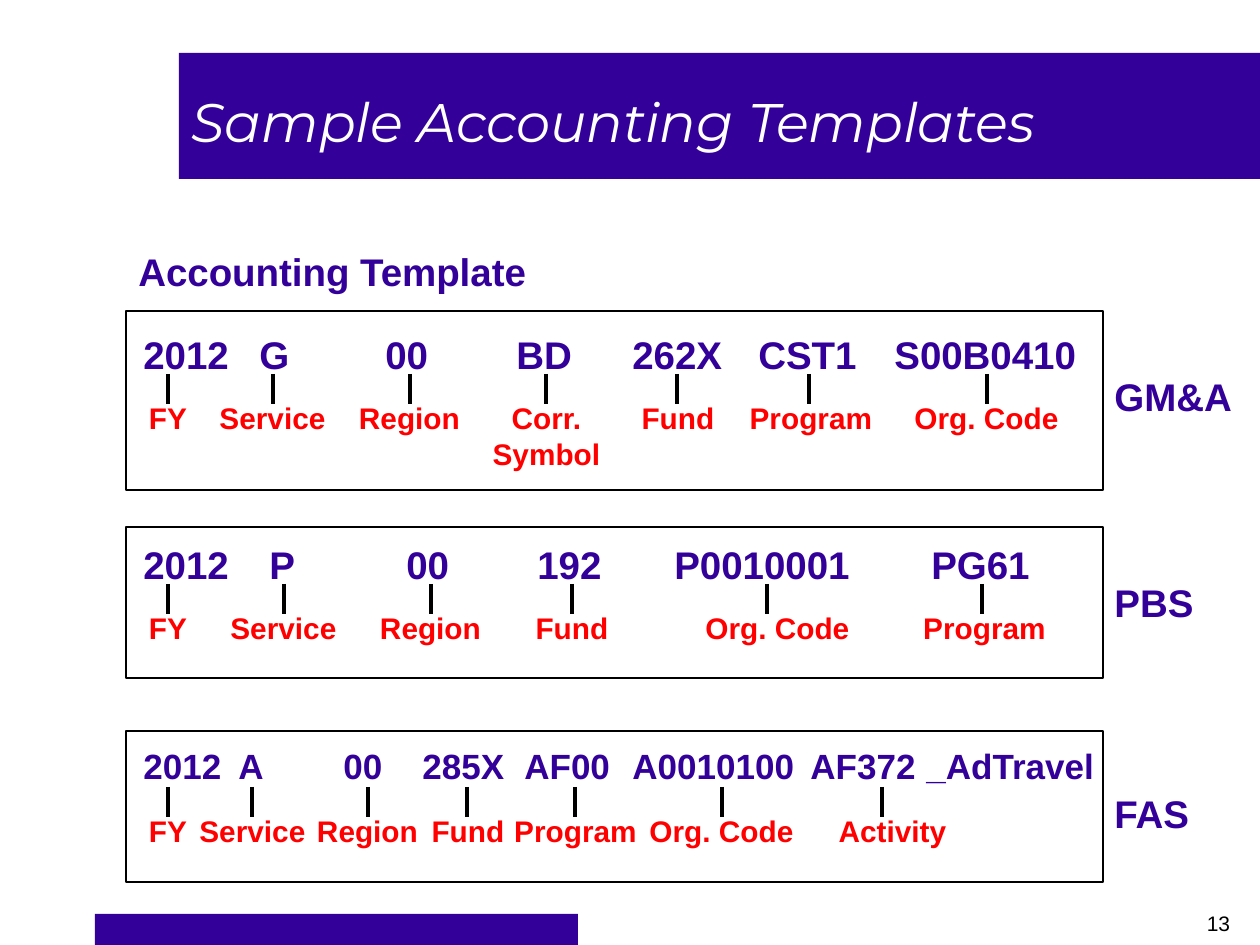
import pptx
import pptx.dml.color
import pptx.enum.shapes
import pptx.enum.text
import pptx.oxml.ns
import pptx.util
import lxml.etree

PX_PER_INCH = 126
COLOURS = {"purple": "330099", "red": "FF0000", "black": "000000", "white": "FFFFFF"}
ALIGN = pptx.enum.text.PP_ALIGN
RECTANGLE = pptx.enum.shapes.MSO_SHAPE.RECTANGLE
STRAIGHT = pptx.enum.shapes.MSO_CONNECTOR.STRAIGHT

# Fields: code, left, width, then label, left, width, tick x (if labelled).
TEMPLATES = [
    {"name": "GM&A", "name_top": 367, "frame": (311, 179), "code_top": 325, "size": 22,
     "fields": [
         ("2012", 131, 131, "FY", 126, 84, 168),
         ("G", 247, 53, "Service", 199, 147, 273),
         ("00", 373, 73, "Region", 336, 147, 410),
         ("BD", 504, 84, "Corr. Symbol", 473, 147, 546),
         ("262X", 620, 116, "Fund", 620, 116, 677),
         ("CST1", 746, 126, "Program", 735, 152, 809),
         ("S00B0410", 882, 210, "Org. Code", 892, 189, 987)]},
    {"name": "PBS", "name_top": 573, "frame": (527, 151), "code_top": 535, "size": 22,
     "fields": [
         ("2012", 131, 141, "FY", 126, 84, 168),
         ("P", 257, 53, "Service", 210, 147, 284),
         ("00", 394, 73, "Region", 357, 147, 431),
         ("192", 525, 95, "Fund", 514, 116, 572),
         ("P0010001", 662, 210, "Org. Code", 683, 189, 767),
         ("PG61", 919, 126, "Program", 898, 173, 982)]},
    {"name": "FAS", "name_top": 784, "frame": (731, 151), "code_top": 738, "size": 20,
     "fields": [
         ("2012", 131, 152, "FY", 126, 84, 168),
         ("A", 226, 53, "Service", 179, 147, 252),
         ("00", 331, 73, "Region", 294, 147, 368),
         ("285X", 410, 116, "Fund", 410, 116, 467),
         ("AF00", 512, 126, "Program", 489, 173, 575),
         ("A0010100", 620, 205, "Org. Code", 627, 189, 722),
         ("AF372", 798, 147, "Activity", 798, 189, 882),
         ("_AdTravel", 914, 210)]},
]


def px(length):
    return pptx.util.Emu(round(length * 914400 / PX_PER_INCH))


def colour(name):
    return pptx.dml.color.RGBColor.from_string(COLOURS[name])


def format_text(box, text, size, colour_name, font="Arial", bold=False, italic=False,
                align=ALIGN.LEFT):
    frame = box.text_frame
    frame.text = text
    frame.word_wrap = True
    para = frame.paragraphs[0]
    para.alignment = align
    style = para.runs[0].font
    style.name = font
    style.size = pptx.util.Pt(size)
    style.bold = bold
    style.italic = italic
    style.color.rgb = colour(colour_name)


def add_text(page, text, left, top, width, height, size, colour_name, **style):
    box = page.shapes.add_textbox(px(left), px(top), px(width), px(height))
    format_text(box, text, size, colour_name, **style)


def add_bar(page, left, top, width, height):
    bar = page.shapes.add_shape(RECTANGLE, px(left), px(top), px(width), px(height))
    bar.shadow.inherit = False
    bar.fill.solid()
    bar.fill.fore_color.rgb = colour("purple")
    bar.line.fill.background()


def add_frame(page, top, height):
    frame = page.shapes.add_shape(RECTANGLE, px(126), px(top), px(977), px(height))
    frame.shadow.inherit = False
    frame.fill.background()
    frame.line.color.rgb = colour("black")
    frame.line.width = pptx.util.Pt(1.5)


def add_tick(page, x, top):
    tick = page.shapes.add_connector(STRAIGHT, px(x), px(top), px(x), px(top + 30))
    tick.line.color.rgb = colour("black")
    tick.line.width = pptx.util.Pt(2.25)
    properties = tick.element.find(pptx.oxml.ns.qn("p:spPr"))
    lxml.etree.SubElement(properties, pptx.oxml.ns.qn("a:effectLst"))


def set_title(page, text):
    title = page.shapes.title
    title.left, title.top, title.width, title.height = px(179), px(42), px(1124), px(158)
    format_text(title, text, 31, "white", font="Montserrat", italic=True)
    title.text_frame.auto_size = pptx.enum.text.MSO_AUTO_SIZE.NONE
    title.text_frame.vertical_anchor = pptx.enum.text.MSO_ANCHOR.MIDDLE
    # Bring the title in front of its bar.
    title.element.getparent().append(title.element)


def add_template(page, template):
    """Draw one framed row of codes, each tied by a tick to its label."""
    code_top = template["code_top"]
    tick_top = code_top + 49
    add_frame(page, *template["frame"])
    for code, left, width, *label_part in template["fields"]:
        add_text(page, code, left, code_top, width, 59, template["size"], "purple", bold=True)
        if label_part:
            label, label_left, label_width, tick_x = label_part
            label_height = 84 if " Symbol" in label else 49
            add_text(page, label, label_left, tick_top + 20, label_width, label_height,
                     17, "red", bold=True, align=ALIGN.CENTER)
            add_tick(page, tick_x, tick_top)
    add_text(page, template["name"], 1102, template["name_top"], 158, 59, 22, "purple",
             bold=True)


def main():
    deck = pptx.Presentation()
    deck.slide_width, deck.slide_height = px(1260), px(945)
    page = deck.slides.add_slide(deck.slide_layouts[5])
    add_bar(page, 95, 914, 483, 31)
    add_bar(page, 179, 53, 1081, 126)
    set_title(page, "Sample Accounting Templates")
    add_text(page, "13", 1187, 904, 63, 38, 12, "black", align=ALIGN.CENTER)
    add_text(page, "Accounting Template", 126, 242, 809, 59, 22, "purple", bold=True)
    for template in TEMPLATES:
        add_template(page, template)
    deck.save("out.pptx")


if __name__ == "__main__":
    main()
